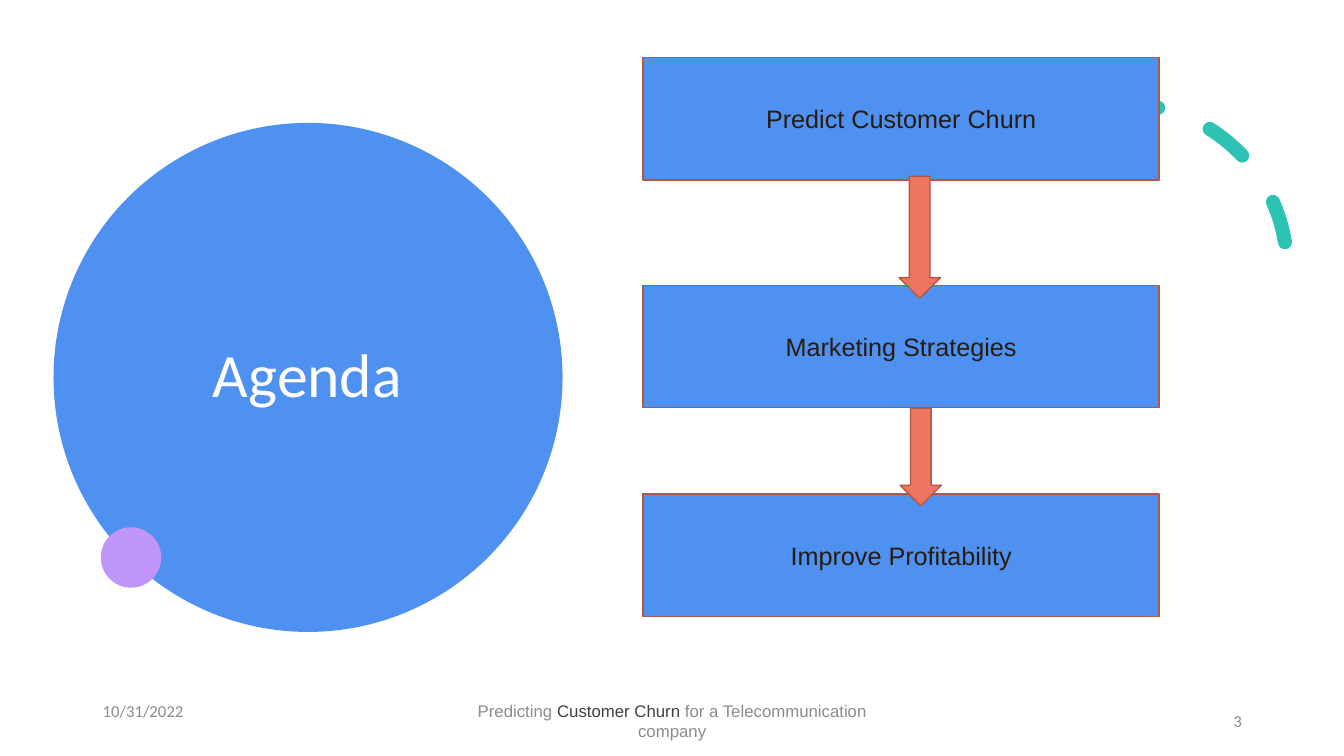
from dataclasses import dataclass

from lxml.etree import SubElement
from pptx import Presentation
from pptx.dml.color import RGBColor
from pptx.enum.dml import MSO_LINE
from pptx.enum.shapes import MSO_SHAPE
from pptx.enum.text import MSO_ANCHOR, MSO_AUTO_SIZE, PP_ALIGN
from pptx.oxml.ns import qn
from pptx.shapes.autoshape import Shape
from pptx.slide import Slide
from pptx.text.text import TextFrame
from pptx.util import Pt

BLUE, PURPLE, TEAL, CORAL = "4E91F0", "C097F8", "2CC3B4", "EE7661"
OUTLINE, INK, WHITE, GREY, DARK_GREY = "B05748", "281B10", "FFFFFF", "8C8C8C", "404040"


@dataclass
class Box:
    left: float
    top: float
    width: float
    height: float

    def lengths(self) -> list:
        return [Pt(n) for n in (self.left, self.top, self.width, self.height)]


@dataclass
class Run:
    text: str
    color: str


@dataclass
class FooterItem:
    box: Box
    runs: list[Run]
    font: str
    align: PP_ALIGN


@dataclass
class Step:
    label: str
    top: float


def rgb(value: str) -> RGBColor:
    return RGBColor.from_string(value)


def write(frame: TextFrame, runs: list[Run], size: float, font: str, align: PP_ALIGN) -> None:
    frame.word_wrap = True
    frame.auto_size = MSO_AUTO_SIZE.NONE
    frame.vertical_anchor = MSO_ANCHOR.MIDDLE
    paragraph = frame.paragraphs[0]
    paragraph.alignment = align
    for part in runs:
        run = paragraph.add_run()
        run.text = part.text
        run.font.size = Pt(size)
        run.font.name = font
        run.font.color.rgb = rgb(part.color)


def add_filled(slide: Slide, kind: MSO_SHAPE, box: Box, fill: str, outline: str = "") -> Shape:
    shape = slide.shapes.add_shape(kind, *box.lengths())
    shape.shadow.inherit = False
    shape.fill.solid()
    shape.fill.fore_color.rgb = rgb(fill)
    if outline:
        shape.line.color.rgb = rgb(outline)
        shape.line.width = Pt(1)
    else:
        shape.line.fill.background()
    return shape


def add_dashed_arc(slide: Slide) -> None:
    arc = slide.shapes.add_shape(MSO_SHAPE.ARC, *Box(684, 74.2, 235.4, 235.4).lengths())
    arc.shadow.inherit = False
    arc.fill.background()
    arc.rotation = 330.2
    arc.adjustments[0], arc.adjustments[1] = 158.17, 17.81
    arc.line.color.rgb = rgb(TEAL)
    arc.line.width = Pt(10)
    arc.line.dash_style = MSO_LINE.DASH
    outline = arc.line._get_or_add_ln()
    outline.set("cap", "rnd")
    SubElement(outline, qn("a:round"))


def add_title(slide: Slide) -> None:
    title = slide.shapes.title
    title.left, title.top, title.width, title.height = Box(92.2, 110.2, 254.9, 318.6).lengths()
    write(title.text_frame, [Run("Agenda", WHITE)], 44, "Calibri", PP_ALIGN.CENTER)
    title.text_frame.paragraphs[0].line_spacing = 0.9
    slide.shapes._spTree.append(title._element)  # bring in front of the circle


FOOTER = [
    FooterItem(Box(66.2, 493.2, 216, 28.8), [Run("10/31/2022", GREY)], "Calibri", PP_ALIGN.LEFT),
    FooterItem(
        Box(318.2, 500.4, 324, 28.8),
        [
            Run("Predicting ", GREY),
            Run("Customer Churn ", DARK_GREY),
            Run("for a Telecommunication company", GREY),
        ],
        "Arial",
        PP_ALIGN.CENTER,
    ),
    FooterItem(Box(678.2, 500.4, 216, 28.8), [Run("3", GREY)], "Calibri", PP_ALIGN.RIGHT),
]
STEPS = [
    Step("Predict Customer Churn", 41),
    Step("Marketing Strategies", 203.8),
    Step("Improve Profitability", 352.8),
]
ARROWS = [Box(642.2, 126, 29.5, 87.1), Box(643, 291.6, 29.5, 69.8)]


def main() -> None:
    deck = Presentation()
    deck.slide_width, deck.slide_height = Pt(960), Pt(540)
    slide = deck.slides.add_slide(deck.slide_layouts[5])

    add_filled(slide, MSO_SHAPE.OVAL, Box(38.2, 87.8, 363.6, 363.6), BLUE)
    add_dashed_arc(slide)
    add_filled(slide, MSO_SHAPE.OVAL, Box(72, 376.6, 43.2, 43.2), PURPLE)
    add_title(slide)

    for item in FOOTER:
        footer = slide.shapes.add_textbox(*item.box.lengths())
        write(footer.text_frame, item.runs, 12, item.font, item.align)
    for step in STEPS:
        box = Box(459.4, step.top, 368.6, 87.5)
        panel = add_filled(slide, MSO_SHAPE.RECTANGLE, box, BLUE, OUTLINE)
        write(panel.text_frame, [Run(step.label, INK)], 18, "Arial", PP_ALIGN.CENTER)
    for arrow in ARROWS:
        add_filled(slide, MSO_SHAPE.DOWN_ARROW, arrow, CORAL, OUTLINE)

    deck.save("out.pptx")


if __name__ == "__main__":
    main()
